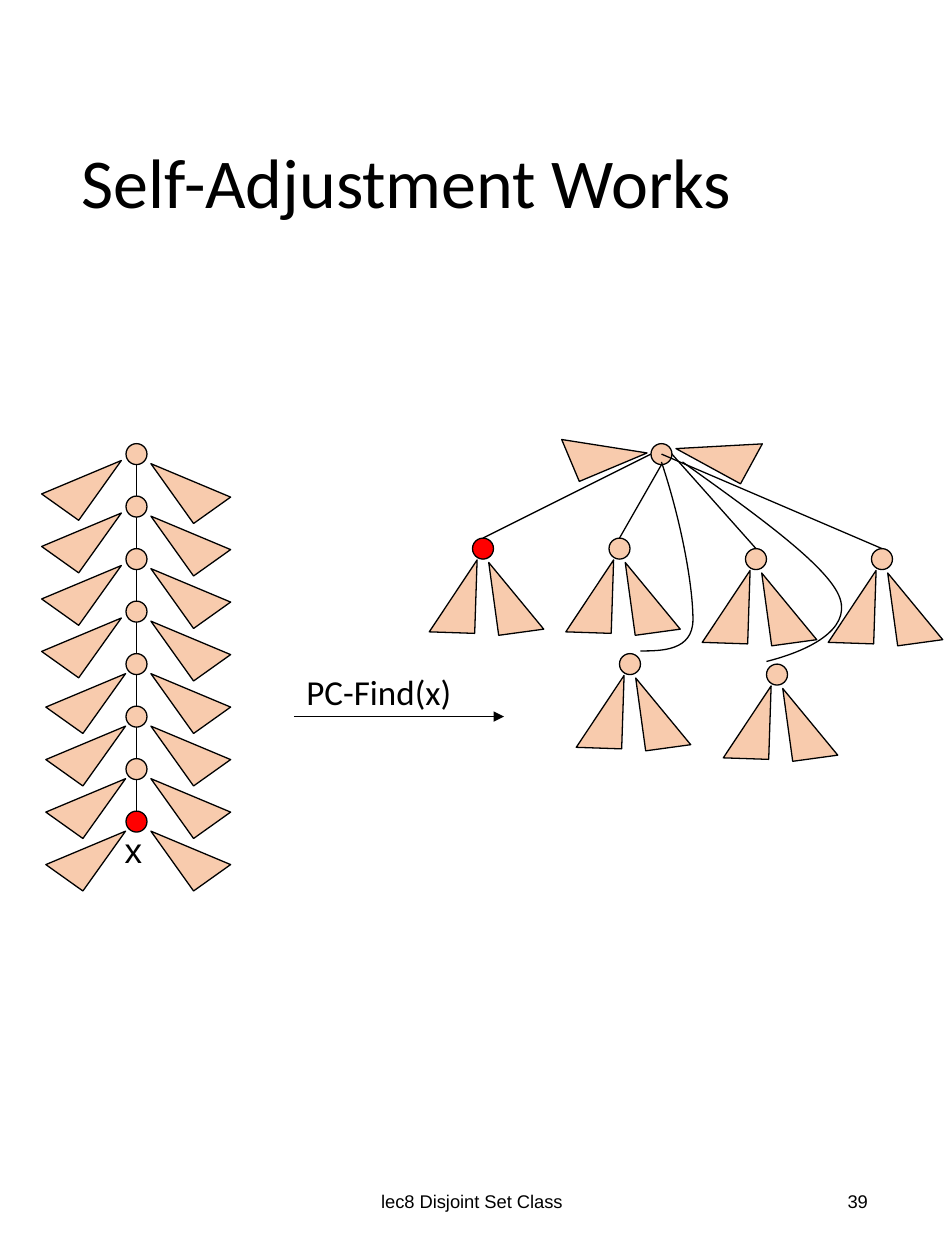
from lxml import etree
from pptx import Presentation
from pptx.dml.color import RGBColor
from pptx.enum.shapes import MSO_CONNECTOR, MSO_SHAPE
from pptx.enum.text import MSO_ANCHOR, MSO_AUTO_SIZE, PP_ALIGN
from pptx.oxml.ns import qn
from pptx.util import Inches, Pt

OVAL, TRIANGLE = MSO_SHAPE.OVAL, MSO_SHAPE.RIGHT_TRIANGLE
STRAIGHT = MSO_CONNECTOR.STRAIGHT
MIDDLE, TOP = MSO_ANCHOR.MIDDLE, MSO_ANCHOR.TOP
LEFT, CENTER, RIGHT = PP_ALIGN.LEFT, PP_ALIGN.CENTER, PP_ALIGN.RIGHT
GROW, FIXED = MSO_AUTO_SIZE.SHAPE_TO_FIT_TEXT, MSO_AUTO_SIZE.NONE

CELL = Inches(1 / 12)
BLACK, PEACH, RED = "000000", "F8CBAD", "FF0000"
NODE = 2
SUBTREE_WIDTH, SUBTREE_HEIGHT = 4.33, 7
CHAIN_COLUMN, TOP_ROW, CHAIN_STEP, CHAIN_LENGTH = 12, 42.25, 5, 8
ROOT_COLUMN = 62

deck = Presentation()
deck.slide_width, deck.slide_height = 90 * CELL, 120 * CELL
page = deck.slides.add_slide(deck.slide_layouts[6])


def paint(shape, fill):
    shape.shadow.inherit = False
    if fill:
        shape.fill.solid()
        shape.fill.fore_color.rgb = RGBColor.from_string(fill)
    else:
        shape.fill.background()
    shape.line.color.rgb = RGBColor.from_string(BLACK)
    shape.line.width = Pt(0.75)


def connect(start, end):
    points = [int(value * CELL) for value in (*start, *end)]
    line = page.shapes.add_connector(STRAIGHT, *points)
    line.line.color.rgb = RGBColor.from_string(BLACK)
    line.line.width = Pt(0.75)
    etree.SubElement(line._element.spPr, qn("a:effectLst"))
    return line


texts = [
    ("lec8 Disjoint Set Class", 29.75, 111.25, 30.4, 6.35, 10.5, "Arial", CENTER, MIDDLE, True),
    ("39", 63.6, 111.25, 20.25, 6.35, 10.5, "Arial", RIGHT, MIDDLE, True),
    ("Self-Adjustment Works", 6.6, 6.1, 77.65, 23.15, 40, "Calibri", LEFT, MIDDLE, True),
    ("PC-Find(x)", 28, 63.25, 19.55, 5.25, 20, "Calibri", LEFT, TOP, False),
    ("x", 10.7, 78.35, 4.1, 5.15, 20, "Arial", LEFT, TOP, False),
]
for text, column, row, width, height, size, font, align, anchor, wrap in texts:
    box = page.shapes.add_textbox(*[int(value * CELL) for value in (column, row, width, height)])
    frame = box.text_frame
    frame.text = text
    frame.word_wrap = wrap
    frame.auto_size = FIXED if wrap else GROW
    frame.vertical_anchor = anchor
    para = frame.paragraphs[0]
    para.alignment = align
    if size == 40:
        para.line_spacing = 0.9
    span = para.runs[0]
    span.font.size = Pt(size)
    span.font.name = font
    span.font.color.rgb = RGBColor.from_string(BLACK)

child_subtrees = [(-4, 2, 1.9, True), (2, 2, 352.2, False)]
nodes = [(ROOT_COLUMN, TOP_ROW, PEACH, [(-6.6, -3.25, 67.2, True), (4.33, -3.25, 298.6, False)])]
for level in range(CHAIN_LENGTH):
    row = TOP_ROW + level * CHAIN_STEP
    color = RED if level == CHAIN_LENGTH - 1 else PEACH
    left_shift = (-6.4, -0.3) if level < CHAIN_LENGTH / 2 else (-6, 0)
    nodes.append((CHAIN_COLUMN, row, color, [(*left_shift, 35.5, True), (4, 0, 324.5, False)]))
    if level:
        middle = CHAIN_COLUMN + NODE / 2
        connect((middle, row - CHAIN_STEP + NODE), (middle, row))

children = [(45, 51.25), (58, 51.25), (71, 52.25), (83, 52.25), (59, 62.25), (73, 63.25)]
for index, (column, row) in enumerate(children):
    nodes.append((column, row, PEACH if index else RED, child_subtrees))

for column, row, color, subtrees in nodes:
    circle = page.shapes.add_shape(
        OVAL, int(column * CELL), int(row * CELL), NODE * CELL, NODE * CELL)
    paint(circle, color)
    for right, down, angle, mirrored in subtrees:
        subtree = page.shapes.add_shape(
            TRIANGLE, int((column + right) * CELL), int((row + down) * CELL),
            int(SUBTREE_WIDTH * CELL), SUBTREE_HEIGHT * CELL)
        paint(subtree, PEACH)
        subtree.rotation = angle
        if mirrored:
            subtree._element.spPr.find(qn("a:xfrm")).set("flipH", "1")

root_starts = [(62, 43.25), (63, 44.25), (64, 43.25), (63, 43.25)]
for start, (column, row) in zip(root_starts, children):
    connect(start, (column + NODE / 2, row))

arrow = connect((28, 68.25), (48, 68.25))
etree.SubElement(arrow.line._get_or_add_ln(), qn("a:tailEnd"), type="triangle")

curves = [
    [(63, 44.25), (64.55, 50.25), (66.25, 56.25), (66, 59.25),
     (65.65, 62.25), (63.25, 62.25), (61, 62.25)],
    [(65, 44.25), (71.75, 49.2), (78.6, 54.1), (79.9, 57.25),
     (81.25, 60.5), (77.15, 61.8), (73, 63.25)],
]
for start, *rest in curves:
    builder = page.shapes.build_freeform(*start, scale=CELL)
    builder.add_line_segments(rest, close=False)
    curve = builder.convert_to_shape()
    paint(curve, None)
    outline = curve._element.spPr.find(".//" + qn("a:path"))
    segments = outline.findall(qn("a:lnTo"))
    for first in range(0, len(segments), 3):
        bezier = etree.SubElement(outline, qn("a:cubicBezTo"))
        for segment in segments[first:first + 3]:
            bezier.append(segment[0])
            outline.remove(segment)

deck.save("out.pptx")
